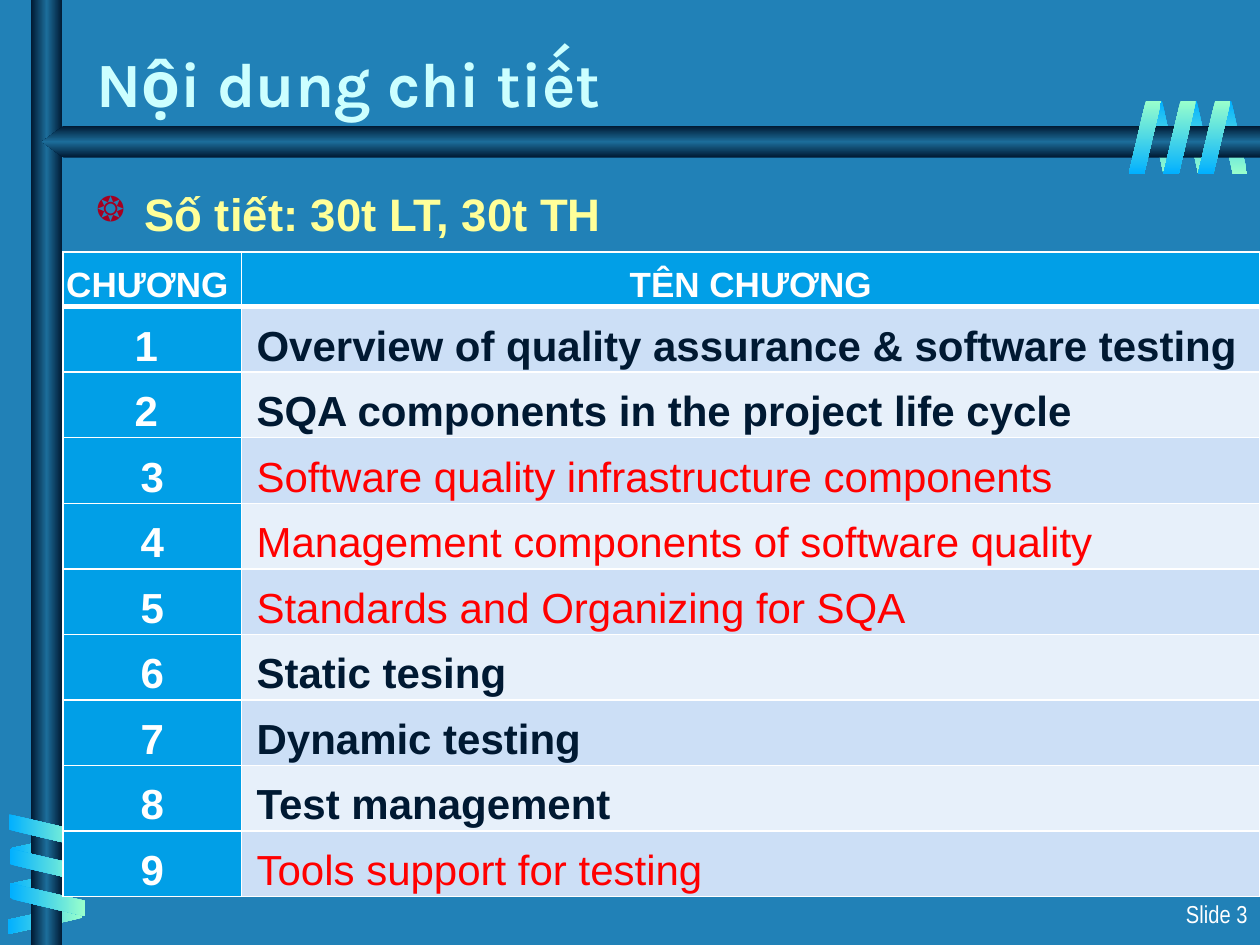
from dataclasses import dataclass

from lxml.etree import SubElement
from pptx import Presentation
from pptx.dml.color import RGBColor
from pptx.enum.shapes import MSO_SHAPE as Preset
from pptx.enum.text import MSO_ANCHOR as Anchor, PP_ALIGN as Align
from pptx.oxml.ns import qn
from pptx.util import Inches, Pt

COLUMN = Inches(10) / 120
ROW = Inches(7.5) / 90


@dataclass(frozen=True)
class Theme:
    background: str = "2181B7"
    dark: str = "001932"
    steel: str = "1C6D9A"
    blue: str = "01B0FF"
    mint: str = "99FFCC"
    title: str = "CCFFFF"
    topic: str = "FFFF99"
    bullet: str = "A50021"
    header: str = "019FE7"
    bands: tuple = ("CCDFF6", "E7F0FA")
    white: str = "FFFFFF"
    red: str = "FF0000"
    body_font: str = "Arial"
    title_font: str = "Karla"
    number_font: str = "Arial Narrow"
    title_size: int = 36
    topic_size: int = 26
    chapter_size: int = 24
    header_size: int = 20
    number_size: int = 14


@dataclass(frozen=True)
class Area:
    left: float
    top: float
    width: float
    height: float

    def lengths(self) -> tuple:
        return (round(self.left * COLUMN), round(self.top * ROW),
                round(self.width * COLUMN), round(self.height * ROW))


@dataclass(frozen=True)
class Coil:
    first: Area
    step_x: float
    step_y: float
    rotation: int
    flip: bool
    colors: tuple
    angle: int


@dataclass(frozen=True)
class Chapter:
    number: str
    name: str
    optional: bool = False


THEME = Theme()
RISING = (THEME.blue, THEME.mint)
FALLING = (THEME.mint, THEME.blue)
METAL = (THEME.dark, THEME.steel, THEME.dark)
BACK_COILS = (
    Coil(Area(115.9, 9.6, 2.9, 7), -3.3, 0, 180, True, RISING, 90),
    Coil(Area(3.1, 77.2, 2.9, 7), -0.12, 3.4, 90, True, FALLING, 0),
)
FRONT_COILS = (
    Coil(Area(2.8, 75.6, 3.1, 7), 0.12, 3.3, 270, False, RISING, 0),
    Coil(Area(114.1, 9.6, 3.1, 7), -3.3, 0, 0, False, FALLING, 90),
)
CHAPTERS = (
    Chapter("1 ", "Overview of quality assurance & software testing"),
    Chapter("2 ", "SQA components in the project life cycle"),
    Chapter("3", "Software quality infrastructure components", True),
    Chapter("4", "Management components of software quality", True),
    Chapter("5", "Standards and Organizing for SQA", True),
    Chapter("6", "Static tesing"),
    Chapter("7", "Dynamic testing"),
    Chapter("8", "Test management"),
    Chapter("9", "Tools support for testing", True),
)


def color(code: str) -> RGBColor:
    return RGBColor.from_string(code)


def write(frame, text: str, *, size: int, ink: str, font: str = THEME.body_font,
          bold: bool = False, align=Align.LEFT, anchor=Anchor.TOP,
          spacing: float = 1.0):
    frame.word_wrap = True
    frame.vertical_anchor = anchor
    para = frame.paragraphs[0]
    para.alignment = align
    para.line_spacing = spacing
    para.space_before = Pt(0)
    span = para.add_run()
    span.text = text
    span.font.name = font
    span.font.size = Pt(size)
    span.font.bold = bold
    span.font.color.rgb = color(ink)
    return para


def draw_shape(slide, preset, area: Area, colors: tuple, angle: int,
               adjustment: float | None = None, rotation: int = 0,
               flip: bool = False) -> None:
    shape = slide.shapes.add_shape(preset, *area.lengths())
    shape.shadow.inherit = False
    shape.line.fill.background()
    shape.rotation = rotation
    if adjustment is not None:
        shape.adjustments[0] = adjustment
    properties = shape.element.spPr
    if flip:
        properties.find(qn("a:xfrm")).set("flipH", "1")
    shape.fill.gradient()
    gradient = properties.find(qn("a:gradFill"))
    gradient.set("rotWithShape", "0")
    gradient.find(qn("a:lin")).set("ang", str(angle * 60000))
    stops = gradient.find(qn("a:gsLst"))
    for stop in list(stops):
        stops.remove(stop)
    for index, code in enumerate(colors):
        position = 100000 * index // (len(colors) - 1)
        stop = SubElement(stops, qn("a:gs"), pos=str(position))
        SubElement(stop, qn("a:srgbClr"), val=code)


def draw_coil(slide, coil: Coil) -> None:
    for turn in range(3):
        area = Area(coil.first.left + turn * coil.step_x,
                    coil.first.top + turn * coil.step_y,
                    coil.first.width, coil.first.height)
        draw_shape(slide, Preset.PARALLELOGRAM, area, coil.colors, coil.angle,
                   0.53, coil.rotation, coil.flip)


def add_bullet(para, mark: str) -> None:
    properties = para._p.get_or_add_pPr()
    properties.set("marL", str(Inches(0.38)))
    properties.set("indent", str(-Inches(0.38)))
    tint = SubElement(properties, qn("a:buClr"))
    SubElement(tint, qn("a:srgbClr"), val=THEME.bullet)
    SubElement(properties, qn("a:buSzPct"), val="75000")
    SubElement(properties, qn("a:buChar"), char=mark)


def fill_cell(cell, text: str, fill: str, *, bottom: int = 1,
              indent: float = 0, **style) -> None:
    properties = cell._tc.get_or_add_tcPr()
    for side, width in (("L", 1), ("R", 1), ("T", 1), ("B", bottom)):
        border = SubElement(properties, qn(f"a:ln{side}"), w=str(Pt(width)))
        paint = SubElement(border, qn("a:solidFill"))
        SubElement(paint, qn("a:srgbClr"), val=THEME.white)
    cell.fill.solid()
    cell.fill.fore_color.rgb = color(fill)
    cell.margin_left = Inches(indent)
    cell.margin_right = cell.margin_top = cell.margin_bottom = 0
    cell.vertical_anchor = Anchor.MIDDLE
    write(cell.text_frame, text, spacing=1.3, anchor=Anchor.MIDDLE, **style)


def draw_chapters(slide) -> None:
    area = Area(6, 24, 114, 61.36)
    table = slide.shapes.add_table(len(CHAPTERS) + 1, 2, *area.lengths()).table
    for column, share in zip(table.columns, (17, 97)):
        column.width = round(share * COLUMN)
    for index, row in enumerate(table.rows):
        row.height = round((6.24 if index else 5.2) * ROW)
    heading = dict(size=THEME.header_size, ink=THEME.white, bold=True,
                   align=Align.CENTER)
    for index, label in enumerate(("CHƯƠNG ", "TÊN CHƯƠNG")):
        fill_cell(table.cell(0, index), label, THEME.header, bottom=3, **heading)
    for index, chapter in enumerate(CHAPTERS):
        fill_cell(table.cell(index + 1, 0), chapter.number, THEME.header,
                  **{**heading, "size": THEME.chapter_size})
        fill_cell(table.cell(index + 1, 1), chapter.name, THEME.bands[index % 2],
                  indent=0.12, size=THEME.chapter_size,
                  ink=THEME.red if chapter.optional else THEME.dark,
                  bold=not chapter.optional)


def main() -> None:
    deck = Presentation()
    deck.slide_width, deck.slide_height = Inches(10), Inches(7.5)
    slide = deck.slides.add_slide(deck.slide_layouts[5])
    slide.background.fill.solid()
    slide.background.fill.fore_color.rgb = color(THEME.background)
    for coil in BACK_COILS:
        draw_coil(slide, coil)
    draw_shape(slide, Preset.RECTANGLE, Area(2.95, 0, 3, 90), METAL, 0)
    draw_shape(slide, Preset.PENTAGON, Area(4, 12, 116, 3), METAL, 90, 0.68, flip=True)
    for coil in FRONT_COILS:
        draw_coil(slide, coil)
    title = slide.shapes.title
    title.left, title.top, title.width, title.height = Area(8, 3, 109, 9).lengths()
    write(title.text_frame, "Nội dung chi tiết", size=THEME.title_size,
          ink=THEME.title, font=THEME.title_font, bold=True, anchor=Anchor.BOTTOM)
    number = slide.shapes.add_textbox(*Area(109, 85, 11, 5).lengths())
    write(number.text_frame, "Slide 3", size=THEME.number_size, ink=THEME.white,
          font=THEME.number_font, align=Align.RIGHT)
    topic = slide.shapes.add_textbox(*Area(8, 16.6, 109, 7).lengths())
    add_bullet(write(topic.text_frame, "Số tiết: 30t LT, 30t TH", spacing=1.1,
                     size=THEME.topic_size, ink=THEME.topic, bold=True), "❂")
    draw_chapters(slide)
    deck.save("out.pptx")


if __name__ == "__main__":
    main()
